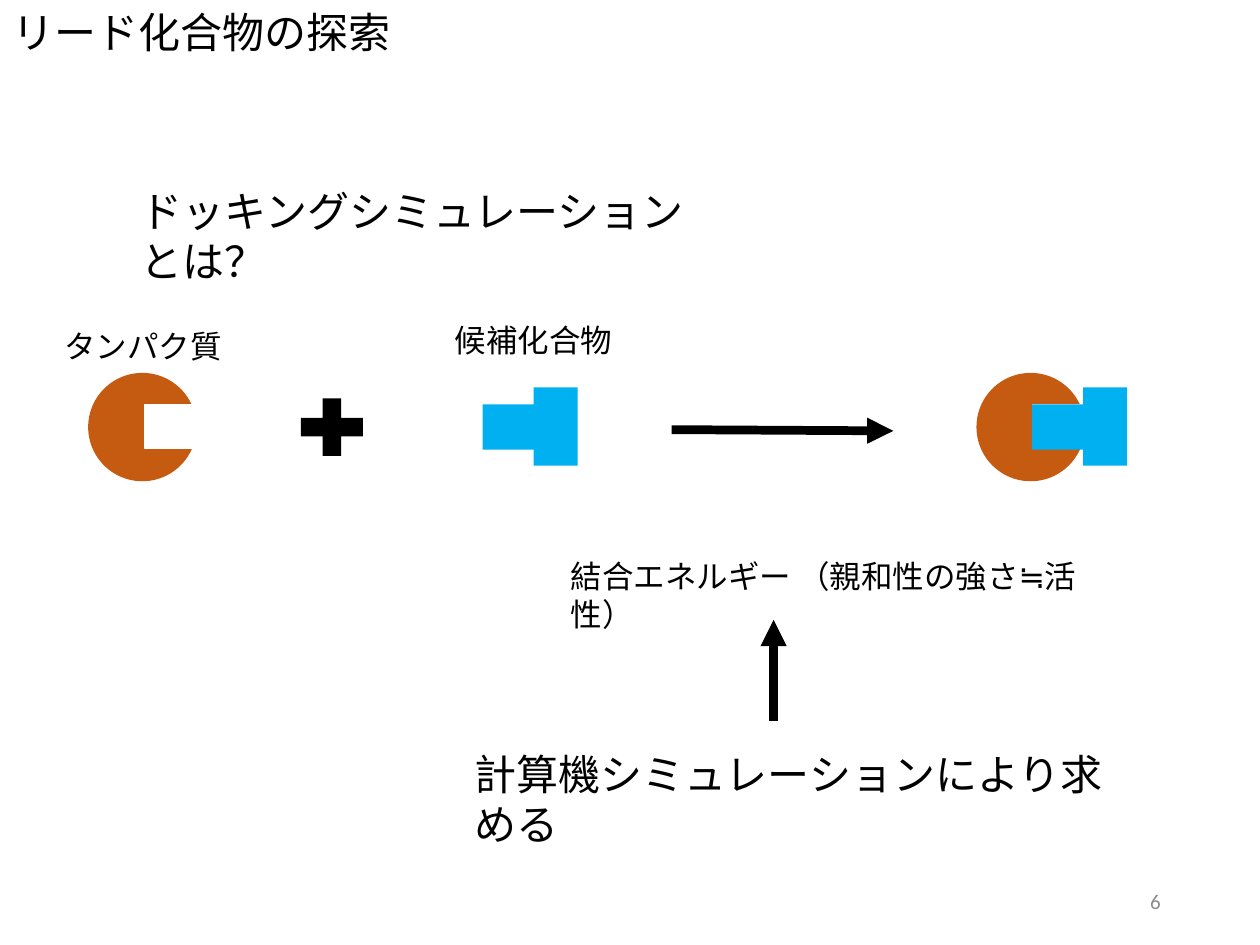
"""Build a slide that explains docking simulation in the search for lead compounds."""
from dataclasses import dataclass

from lxml.etree import SubElement
from pptx import Presentation
from pptx.dml.color import RGBColor
from pptx.enum.shapes import MSO_CONNECTOR as Connector, MSO_SHAPE as Preset
from pptx.enum.text import MSO_ANCHOR as Anchor, PP_ALIGN as Align
from pptx.oxml.ns import qn
from pptx.util import Inches, Pt

BLACK = RGBColor(0x00, 0x00, 0x00)
WHITE = RGBColor(0xFF, 0xFF, 0xFF)
GRAY = RGBColor(0x8C, 0x8C, 0x8C)
PROTEIN_BROWN = RGBColor(0xC5, 0x5A, 0x11)
COMPOUND_BLUE = RGBColor(0x00, 0xB0, 0xF0)
JAPANESE_FONT = "Noto Sans CJK JP"
LATIN_FONT = "Calibri"


@dataclass(frozen=True)
class Box:
    left: float
    top: float
    width: float
    height: float

    def lengths(self) -> tuple:
        return tuple(Inches(value) for value in (self.left, self.top, self.width, self.height))


@dataclass(frozen=True)
class Arrow:
    start: tuple[float, float]
    end: tuple[float, float]


ARROWS = (Arrow((5.33, 3.41), (7.09, 3.42)), Arrow((6.14, 5.72), (6.14, 4.92)))


def write_text(shape, text: str, *, size=24, font=JAPANESE_FONT, color=BLACK,
               align=Align.LEFT, anchor=Anchor.TOP, line_spacing=None) -> None:
    frame = shape.text_frame
    frame.word_wrap = True
    frame.vertical_anchor = anchor
    paragraph = frame.paragraphs[0]
    paragraph.alignment = align
    if line_spacing:
        paragraph.line_spacing = Pt(line_spacing)
    run = paragraph.add_run()
    run.text = text
    run.font.size = Pt(size)
    run.font.name = font
    run.font.color.rgb = color
    SubElement(run.font._element, qn("a:ea"), typeface=JAPANESE_FONT)


def add_text(slide, box: Box, text: str, **text_format) -> None:
    write_text(slide.shapes.add_textbox(*box.lengths()), text, **text_format)


def add_preset(shapes, preset: Preset, box: Box, fill: RGBColor, line: RGBColor | None = None):
    shape = shapes.add_shape(preset, *box.lengths())
    shape.shadow.inherit = False
    shape.fill.solid()
    shape.fill.fore_color.rgb = fill
    if line is None:
        shape.line.fill.background()
    else:
        shape.line.color.rgb = line
        shape.line.width = Pt(1)
    return shape


def add_protein(slide, left: float, top: float) -> None:
    shapes = slide.shapes.add_group_shape().shapes
    add_preset(shapes, Preset.OVAL, Box(left, top, 0.86, 0.86), PROTEIN_BROWN)
    add_preset(shapes, Preset.RECTANGLE, Box(left + 0.45, top + 0.25, 0.61, 0.35), WHITE, WHITE)


def add_compound(slide, left: float, top: float) -> None:
    shapes = slide.shapes.add_group_shape().shapes
    add_preset(shapes, Preset.RECTANGLE, Box(left, top, 0.61, 0.36), COMPOUND_BLUE)
    head = add_preset(shapes, Preset.RECTANGLE, Box(left + 0.27, top, 0.62, 0.35), COMPOUND_BLUE)
    head.rotation = 90


def add_arrow(slide, arrow: Arrow) -> None:
    points = [Inches(value) for value in arrow.start + arrow.end]
    connector = slide.shapes.add_connector(Connector.STRAIGHT, *points)
    connector.line.color.rgb = BLACK
    connector.line.width = Pt(5)
    SubElement(connector.line._get_or_add_ln(), qn("a:tailEnd"), type="triangle")
    SubElement(connector._element.spPr, qn("a:effectLst"))


def main() -> None:
    presentation = Presentation()
    presentation.slide_width, presentation.slide_height = Inches(10), Inches(7.5)
    slide = presentation.slides.add_slide(presentation.slide_layouts[6])
    label_format = {"size": 18, "align": Align.CENTER, "line_spacing": 23.6}

    add_text(slide, Box(0, 0, 3.23, 0.5), "リード化合物の探索")
    add_protein(slide, 0.7, 2.96)
    add_compound(slide, 3.83, 3.21)
    compound_label = add_preset(slide.shapes, Preset.RECTANGLE, Box(3.17, 2.47, 2.13, 0.4), WHITE)
    write_text(compound_label, "候補化合物", **label_format)
    add_text(slide, Box(0.31, 2.52, 1.65, 0.44), "タンパク質", **label_format)
    add_protein(slide, 7.75, 2.96)
    add_compound(slide, 8.19, 3.21)
    add_preset(slide.shapes, Preset.MATH_PLUS, Box(2.3, 3.08, 0.67, 0.62), BLACK)
    for arrow in ARROWS:
        add_arrow(slide, arrow)
    add_text(slide, Box(1.02, 1.42, 4.77, 0.5), "ドッキングシミュレーションとは？")
    add_text(slide, Box(4.43, 4.37, 4.43, 0.4), "結合エネルギー （親和性の強さ≒活性）",
             size=18, font=LATIN_FONT)
    add_text(slide, Box(3.67, 5.89, 5.44, 0.5), "計算機シミュレーションにより求める")
    add_text(slide, Box(7.06, 6.95, 2.25, 0.4), "6", size=12, font=LATIN_FONT, color=GRAY,
             align=Align.RIGHT, anchor=Anchor.MIDDLE)
    presentation.save("out.pptx")


if __name__ == "__main__":
    main()
